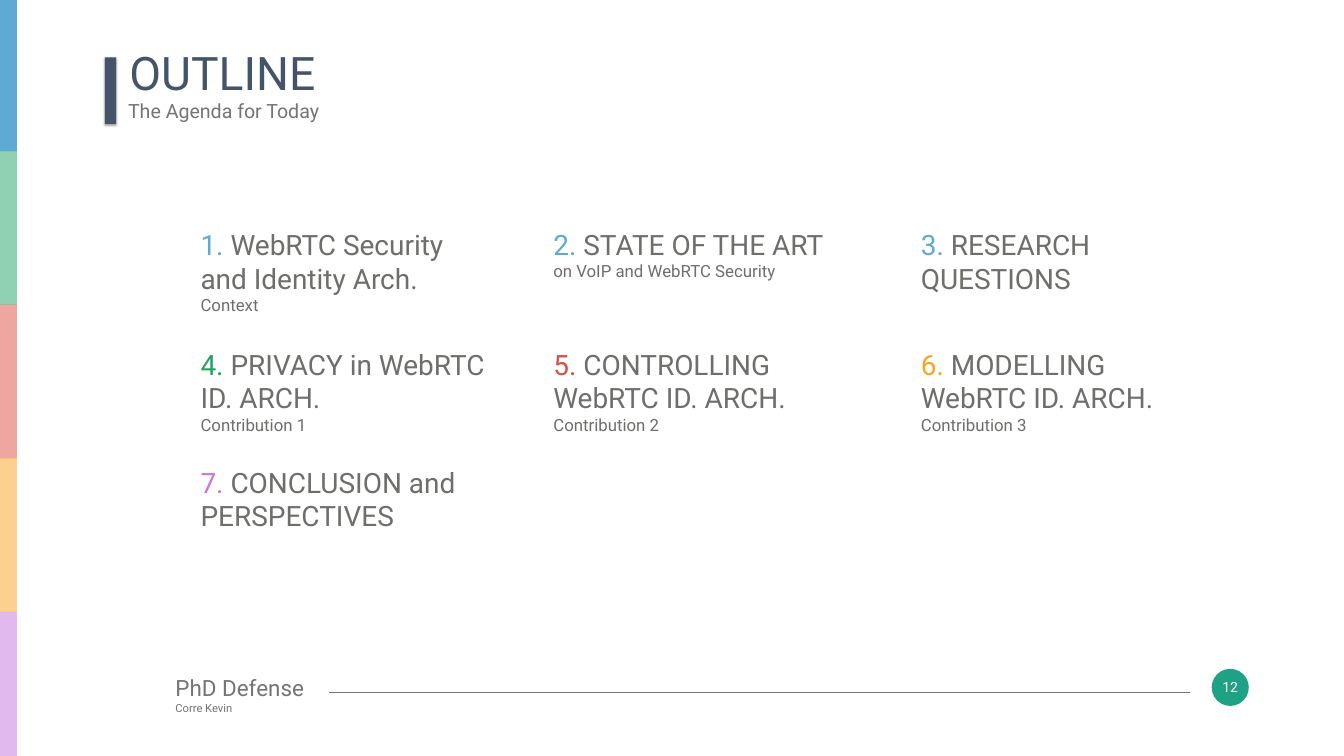
import pptx
import pptx.util
import pptx.dml.color
import pptx.enum.shapes
import pptx.enum.text
import lxml.etree

Pt = pptx.util.Pt
RGB = pptx.dml.color.RGBColor
SHAPE = pptx.enum.shapes.MSO_SHAPE
ALIGN = pptx.enum.text.PP_ALIGN
ANCHOR = pptx.enum.text.MSO_ANCHOR
FIT = pptx.enum.text.MSO_AUTO_SIZE
A = "http://schemas.openxmlformats.org/drawingml/2006/main"

BLUE = RGB(0x5E, 0xAA, 0xD5)
GREEN = RGB(0x20, 0xA4, 0x63)
RED = RGB(0xDC, 0x4F, 0x43)
ORANGE = RGB(0xFB, 0xA3, 0x21)
PURPLE = RGB(0xC7, 0x75, 0xDF)
NAVY = RGB(0x44, 0x54, 0x69)
TEAL = RGB(0x1E, 0xA1, 0x85)
GRAY = RGB(0x73, 0x75, 0x72)
DARK = RGB(0x6D, 0x6F, 0x6B)
WHITE = RGB(0xFF, 0xFF, 0xFF)


def write(frame, lines, inset=0, align=ALIGN.LEFT, anchor=ANCHOR.TOP):
    """Fill a frame with lines, each a list of (text, size, colour) runs."""
    frame.word_wrap = True
    frame.auto_size = FIT.NONE
    frame.vertical_anchor = anchor
    frame.margin_left = frame.margin_right = Pt(inset)
    frame.margin_top = frame.margin_bottom = Pt(inset)
    for i, line in enumerate(lines):
        para = frame.add_paragraph() if i else frame.paragraphs[0]
        para.alignment = align
        for text, size, color in line:
            run = para.add_run()
            run.text = text
            run.font.name = "Roboto"
            run.font.size = Pt(size)
            run.font.color.rgb = color


def block(kind, left, top, width, height, color):
    """Add a plain filled shape without outline or shadow."""
    shape = slide.shapes.add_shape(kind, Pt(left), Pt(top), Pt(width), Pt(height))
    shape.shadow.inherit = False
    shape.fill.solid()
    shape.fill.fore_color.rgb = color
    shape.line.fill.background()
    return shape


deck = pptx.Presentation()
deck.slide_width = Pt(1920)
deck.slide_height = Pt(1080)
slide = deck.slides.add_slide(deck.slide_layouts[5])

# Footer
disc = block(SHAPE.OVAL, 1731, 955.5, 53, 53, TEAL)
write(disc.text_frame, [[("12", 20, WHITE)]], align=ALIGN.CENTER, anchor=ANCHOR.MIDDLE)
footer = slide.shapes.add_textbox(Pt(247), Pt(960), Pt(287), Pt(71))
write(footer.text_frame, [[("PhD Defense", 32, GRAY)], [("Corre Kevin", 16, GRAY)]], inset=3.6)
rule = slide.shapes.add_connector(
    pptx.enum.shapes.MSO_CONNECTOR.STRAIGHT, Pt(469.5), Pt(988.5), Pt(1700.5), Pt(988.5))
rule.line.color.rgb = GRAY
rule.line.width = Pt(0.25)
lxml.etree.SubElement(rule._element.spPr, f"{{{A}}}effectLst")

# Heading
title = slide.shapes.title
title.left, title.top, title.width, title.height = Pt(185), Pt(63.5), Pt(1606), Pt(94)
write(title.text_frame, [[("OUTLINE", 66, NAVY)]])

bar = block(SHAPE.RECTANGLE, 150, 82, 16, 95, NAVY)
effects = bar._element.spPr.find(f"{{{A}}}effectLst")
shadow = lxml.etree.SubElement(
    effects, f"{{{A}}}outerShdw", blurRad=str(Pt(3)), dist=str(Pt(1.8)), dir="5400000", rotWithShape="0")
tint = lxml.etree.SubElement(shadow, f"{{{A}}}srgbClr", val="000000")
lxml.etree.SubElement(tint, f"{{{A}}}alpha", val="35000")

tagline = slide.shapes.add_textbox(Pt(183), Pt(142), Pt(1606), Pt(44))
write(tagline.text_frame, [[("The Agenda for Today", 28, GRAY)]])

# Agenda: colour, topic, second line, size of second line
topics = [
    (BLUE, "WebRTC Security and Identity Arch.", "Context", 24),
    (BLUE, "STATE OF THE ART", "on VoIP and WebRTC Security", 24),
    (BLUE, "RESEARCH QUESTIONS", None, 24),
    (GREEN, "PRIVACY in WebRTC ID. ARCH.", "Contribution 1", 24),
    (RED, "CONTROLLING WebRTC ID. ARCH.", "Contribution 2", 24),
    (ORANGE, "MODELLING WebRTC ID. ARCH.", "Contribution 3", 24),
    (PURPLE, "CONCLUSION and", "PERSPECTIVES", 40),
]
cols = [286.5, 790.5, 1315.5]
rows = [325, 496, 664.5]
for i, (color, topic, note, size) in enumerate(topics):
    row, col = divmod(i, len(cols))
    item = slide.shapes.add_textbox(Pt(cols[col]), Pt(rows[row]), Pt(413), Pt(145))
    lines = [[(f"{i + 1}.", 40, color), (f" {topic}", 40, DARK)]]
    if note:
        lines.append([(note, size, DARK)])
    write(item.text_frame, lines)

# Colour stripes down the left edge
for i, color in enumerate([BLUE, GREEN, RED, ORANGE, PURPLE]):
    stripe = block(SHAPE.RECTANGLE, -3, -4 + 219.5 * i, 27, 220, color)
    if i:
        tint = stripe._element.spPr.find(f"{{{A}}}solidFill/{{{A}}}srgbClr")
        lxml.etree.SubElement(tint, f"{{{A}}}alpha", val="50000")

deck.save("out.pptx")
